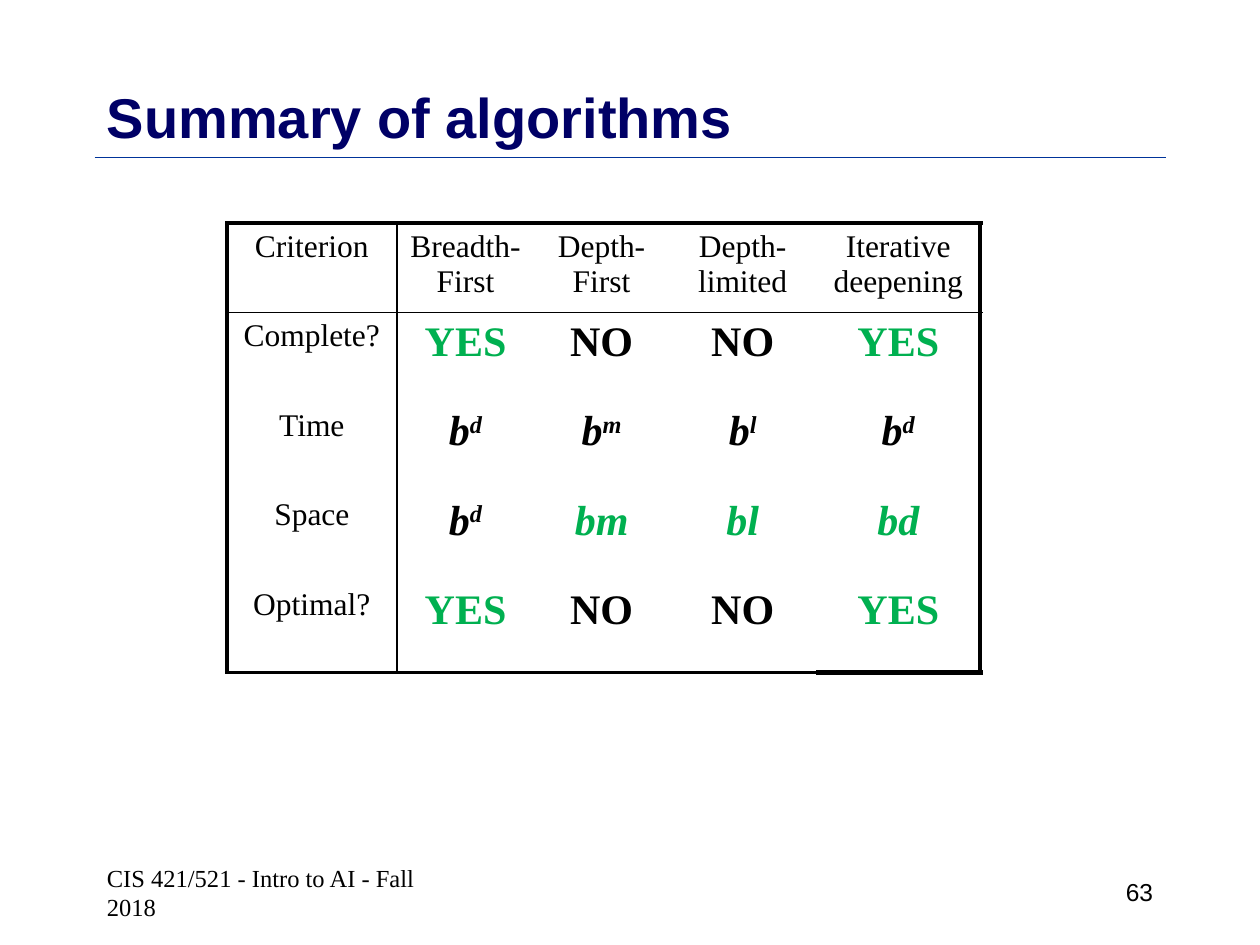
from dataclasses import dataclass

from lxml import etree
from pptx import Presentation
from pptx.dml.color import RGBColor
from pptx.enum.shapes import MSO_CONNECTOR
from pptx.enum.text import MSO_ANCHOR, PP_ALIGN
from pptx.oxml.ns import qn
from pptx.util import Emu, Pt

LEFT, CENTER, RIGHT = PP_ALIGN.LEFT, PP_ALIGN.CENTER, PP_ALIGN.RIGHT
MIDDLE = MSO_ANCHOR.MIDDLE
STRAIGHT = MSO_CONNECTOR.STRAIGHT
EMU_PER_PX = 9144  # 100 px to the inch


@dataclass(frozen=True)
class Theme:
    ink: str = "000000"
    title: str = "000066"
    rule: str = "003399"
    good: str = "00B050"
    sans: str = "Arial"
    serif: str = "Times New Roman"
    title_size: int = 32
    value_size: int = 24
    label_size: int = 18
    footer_size: int = 14
    thin: float = 1
    frame: float = 2.25
    thick: float = 3


THEME = Theme()

COLUMNS = [135, 109, 107, 117, 130]
ROWS = [71, 71, 71, 71, 73]
HEADINGS = ["Criterion", "Breadth-First", "Depth-First", "Depth-limited",
            "Iterative deepening"]
# "^" marks the start of a superscript
CRITERIA = [
    ["Complete?", "YES", "NO", "NO", "YES"],
    ["Time", "b^d", "b^m", "b^l", "b^d"],
    ["Space", "b^d", "bm", "bl", "bd"],
    ["Optimal?", "YES", "NO", "NO", "YES"],
]
GOOD_VALUES = {"YES", "bm", "bl", "bd"}


def px(n):
    return Emu(n * EMU_PER_PX)


def write(tf, text, *, size, font=THEME.serif, color=THEME.ink, bold=False,
          italic=False, align=LEFT):
    """Fill a text frame with one paragraph; text after "^" is superscript."""
    p = tf.paragraphs[0]
    p.alignment = align
    for i, part in enumerate(text.split("^")):
        r = p.add_run()
        r.text = part
        r.font.size, r.font.name = Pt(size), font
        r.font.bold, r.font.italic = bold, italic
        r.font.color.rgb = RGBColor.from_string(color)
        if i:
            r.font._element.set("baseline", "30000")


def add_text(s, text, left, top, width, height, wrap=True, **fmt):
    tf = s.shapes.add_textbox(px(left), px(top), px(width), px(height)).text_frame
    tf.word_wrap = wrap
    tf.vertical_anchor = MIDDLE
    write(tf, text, **fmt)


def add_rule(s, x1, x2, y):
    line = s.shapes.add_connector(STRAIGHT, px(x1), px(y), px(x2), px(y))
    line.line.color.rgb = RGBColor.from_string(THEME.rule)
    line.line.width = Pt(THEME.thin)
    etree.SubElement(line._element.spPr, qn("a:effectLst"))


def set_borders(cell, widths):
    """Draw the left, right, top and bottom edges; a width of 0 hides one."""
    tc_pr = cell._tc.get_or_add_tcPr()
    for i, (side, width) in enumerate(zip("LRTB", widths)):
        ln = etree.Element(qn(f"a:ln{side}"), w=str(int(Pt(width))))
        if width:
            fill = etree.SubElement(ln, qn("a:solidFill"))
            etree.SubElement(fill, qn("a:srgbClr"), val=THEME.ink)
        else:
            etree.SubElement(ln, qn("a:noFill"))
        tc_pr.insert(i, ln)


def border_widths(row, col):
    last_row, last_col = row == len(ROWS) - 1, col == len(COLUMNS) - 1
    left = {0: THEME.frame, 1: THEME.thin}.get(col, 0)
    right = THEME.thick if last_col else THEME.thin if col == 0 else 0
    top = {0: THEME.frame, 1: THEME.thin}.get(row, 0)
    bottom = THEME.thin if row == 0 else 0
    if last_row:
        bottom = THEME.thick if last_col else THEME.frame
    return left, right, top, bottom


def value_format(text):
    return dict(size=THEME.value_size, bold=True, italic=text.startswith("b"),
                color=THEME.good if text in GOOD_VALUES else THEME.ink)


def add_comparison(s, left, top):
    table = s.shapes.add_table(len(ROWS), len(COLUMNS), px(left), px(top),
                               px(sum(COLUMNS)), px(sum(ROWS))).table
    table.first_row = table.horz_banding = False
    for column, width in zip(table.columns, COLUMNS):
        column.width = px(width)
    for row, height in zip(table.rows, ROWS):
        row.height = px(height)
    for i, texts in enumerate([HEADINGS] + CRITERIA):
        for j, text in enumerate(texts):
            cell = table.cell(i, j)
            cell.fill.background()
            set_borders(cell, border_widths(i, j))
            fmt = value_format(text) if i and j else dict(size=THEME.label_size)
            write(cell.text_frame, text, align=CENTER, **fmt)


def main():
    prs = Presentation()
    prs.slide_width, prs.slide_height = px(1000), px(750)
    s = prs.slides.add_slide(prs.slide_layouts[6])
    add_rule(s, 75, 925, 125)
    add_text(s, "Summary of algorithms", 75, 67, 850, 50, font=THEME.sans,
             size=THEME.title_size, color=THEME.title, bold=True)
    add_comparison(s, 180, 177)
    add_text(s, "CIS 421/521 - Intro to AI - Fall 2018", 75, 683, 283, 50,
             wrap=False, size=THEME.footer_size)
    add_text(s, "63", 717, 683, 208, 50, font=THEME.sans,
             size=THEME.footer_size, align=RIGHT)
    prs.save("out.pptx")


if __name__ == "__main__":
    main()
